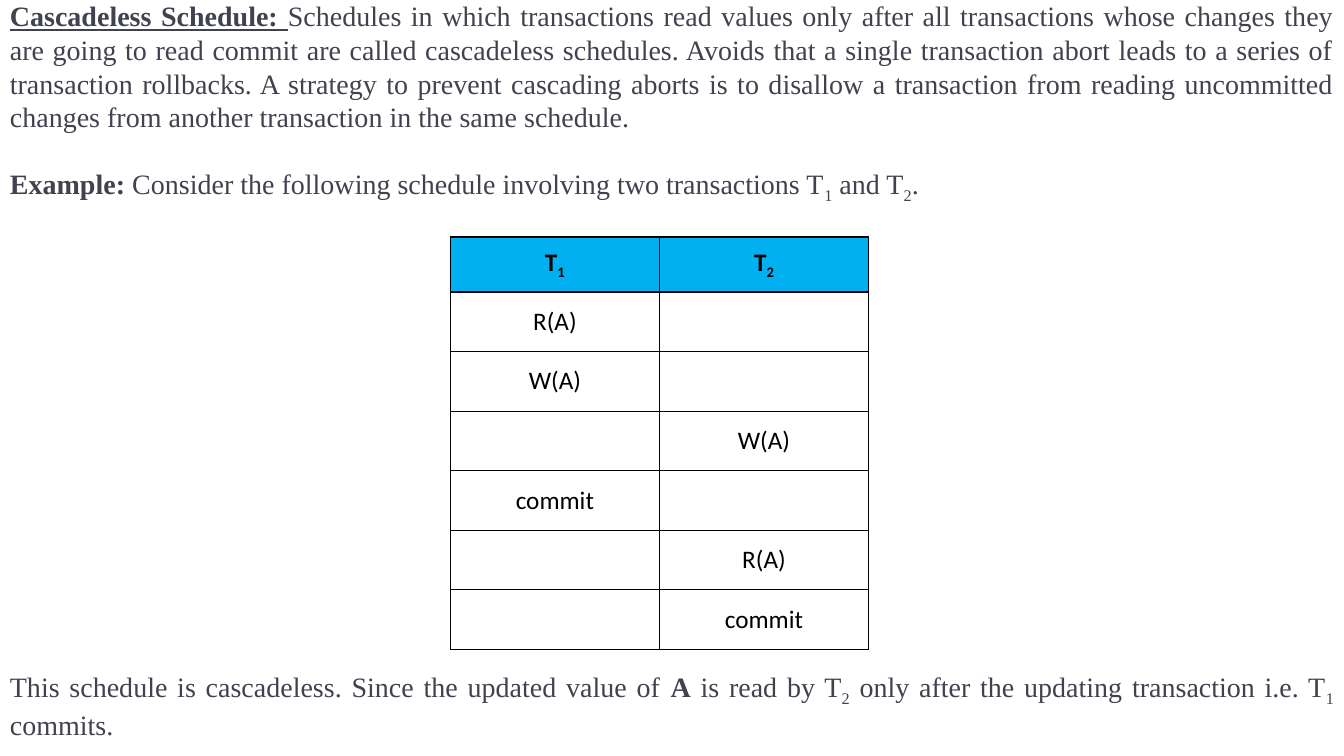
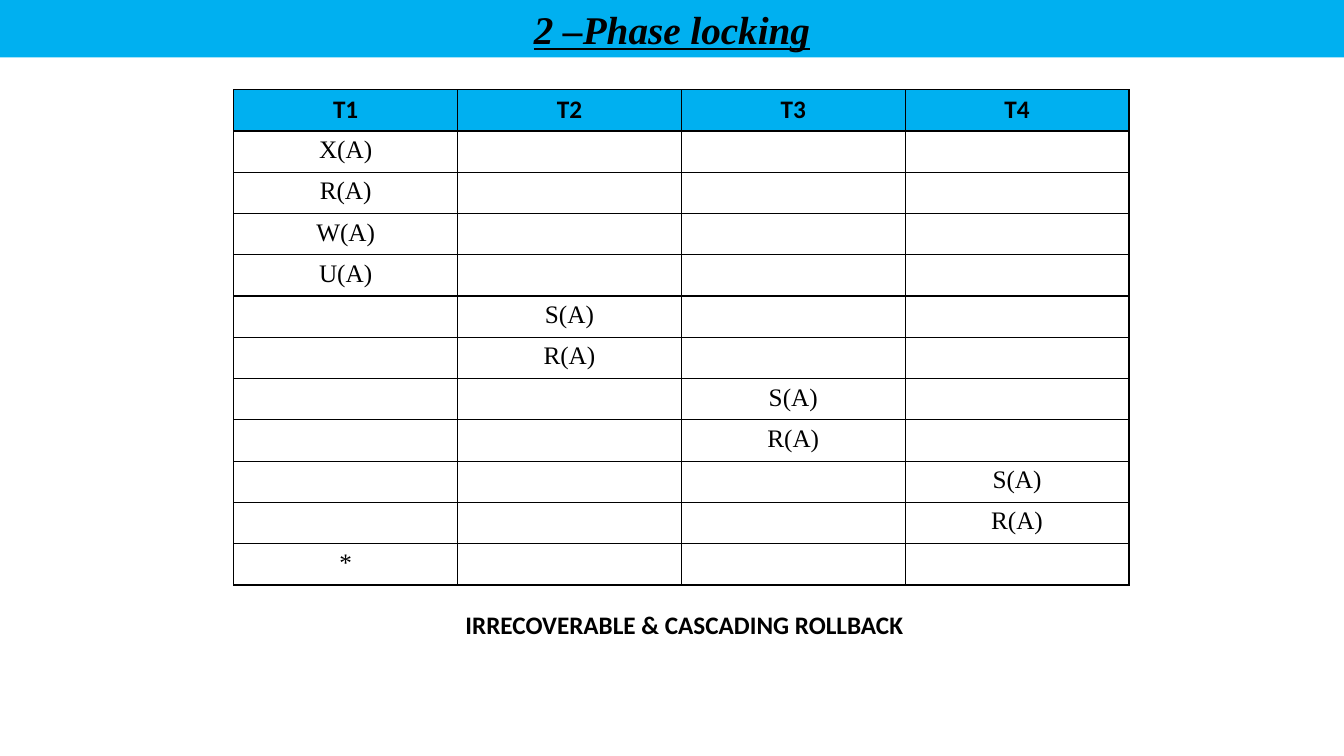
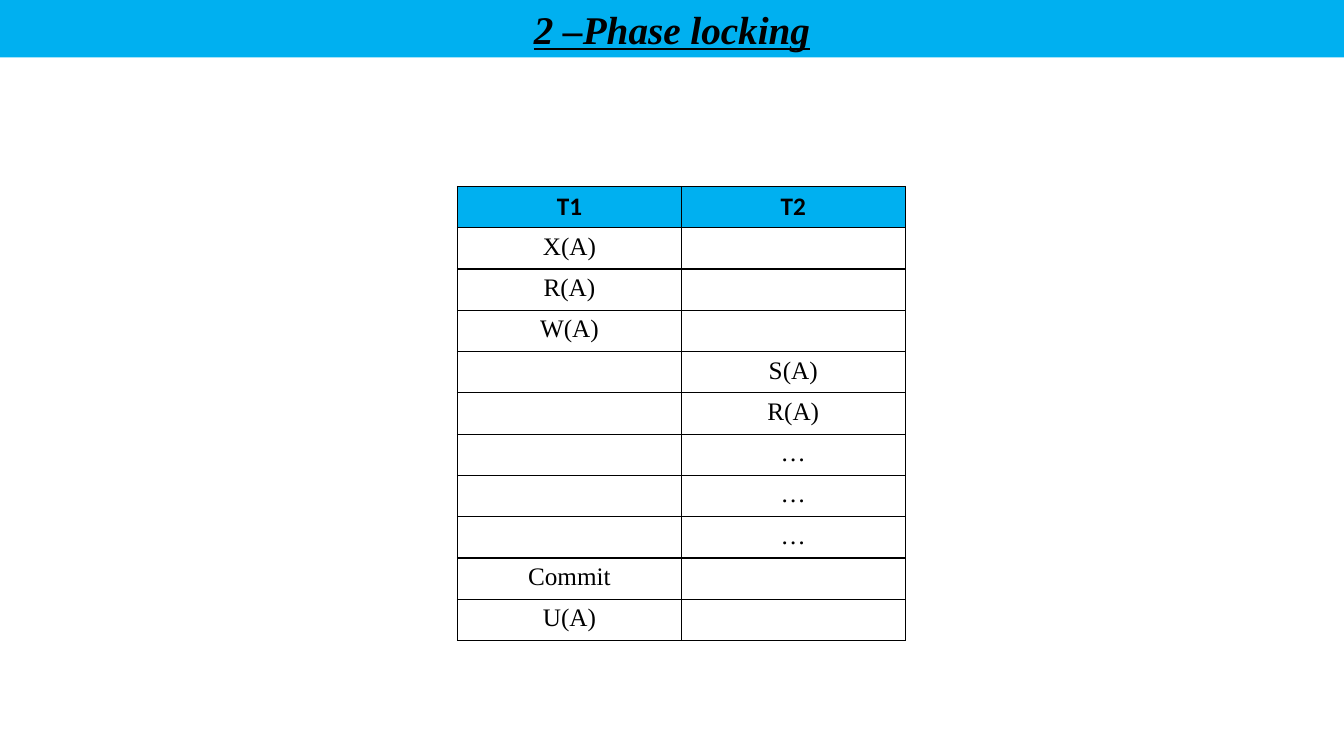
from dataclasses import dataclass

from lxml import etree
from pptx import Presentation
from pptx.dml.color import RGBColor
from pptx.enum.shapes import MSO_SHAPE
from pptx.enum.text import MSO_ANCHOR, PP_ALIGN
from pptx.oxml.ns import qn
from pptx.util import Cm, Pt

RECTANGLE = MSO_SHAPE.RECTANGLE
MIDDLE = MSO_ANCHOR.MIDDLE
TOP = MSO_ANCHOR.TOP
LEFT, CENTER, JUSTIFY = PP_ALIGN.LEFT, PP_ALIGN.CENTER, PP_ALIGN.JUSTIFY
BOLD, UNDERLINE, SUBSCRIPT = "bold", "underline", "subscript"


@dataclass(frozen=True)
class Theme:
    accent: RGBColor = RGBColor(0x00, 0xB0, 0xF0)
    black: RGBColor = RGBColor(0x00, 0x00, 0x00)
    body_color: RGBColor = RGBColor(0x40, 0x42, 0x4E)
    serif: str = "Times New Roman"
    sans: str = "Calibri"
    title_size: Pt = Pt(28)
    body_size: Pt = Pt(20)
    table_size: Pt = Pt(18)
    border: Pt = Pt(1)
    page_width: Cm = Cm(33.87)
    page_height: Cm = Cm(19.05)


THEME = Theme()


def add_page(deck):
    return deck.slides.add_slide(deck.slide_layouts[6])


def write(para, spans, name, size, color, align=LEFT, bold=False):
    """Fill a paragraph with spans: plain strings or (text, style, ...) tuples."""
    para.alignment = align
    font = para.font
    font.name, font.size, font.bold = name, size, bold
    font.color.rgb = color
    for span in spans:
        text, *styles = (span,) if isinstance(span, str) else span
        run = para.add_run()
        run.text = text
        if BOLD in styles:
            run.font.bold = True
        if UNDERLINE in styles:
            run.font.underline = True
        if SUBSCRIPT in styles:
            run._r.get_or_add_rPr().set("baseline", "-25000")


def add_text(page, left, top, width, height):
    """Add a wrapping text box and return its first paragraph."""
    frame = page.shapes.add_textbox(left, top, width, height).text_frame
    frame.word_wrap = True
    return frame.paragraphs[0]


def add_body(page, top, height, spans, align=JUSTIFY):
    para = add_text(page, 0, top, THEME.page_width, height)
    write(para, spans, THEME.serif, THEME.body_size, THEME.body_color, align)


def add_title_band(page, title):
    band = page.shapes.add_shape(RECTANGLE, 0, 0, THEME.page_width, Cm(1.45))
    band.shadow.inherit = False
    band.fill.solid()
    band.fill.fore_color.rgb = THEME.accent
    band.line.fill.background()
    band.text_frame.vertical_anchor = MIDDLE
    para = band.text_frame.paragraphs[0]
    write(para, [title], THEME.serif, THEME.title_size, THEME.black, CENTER, True)
    para.font.italic = True
    para.font.underline = True


def add_borders(cell):
    properties = cell._tc.get_or_add_tcPr()
    for side in ("lnL", "lnR", "lnT", "lnB"):
        line = etree.SubElement(properties, qn(f"a:{side}"), w=str(THEME.border))
        fill = etree.SubElement(line, qn("a:solidFill"))
        etree.SubElement(fill, qn("a:srgbClr"), val=str(THEME.black))


def add_schedule(page, left, top, column_width, row_height, headers, steps,
                 name=THEME.serif, anchor=TOP, header_height=None):
    """Draw a schedule: each step (transaction number, operation) takes one row."""
    rows, columns = len(steps) + 1, len(headers)
    table = page.shapes.add_table(rows, columns, left, top, column_width * columns,
                                  row_height * rows).table
    for column in table.columns:
        column.width = column_width
    for row in table.rows:
        row.height = row_height
    table.rows[0].height = header_height or row_height

    for row in range(rows):
        for column in range(columns):
            cell = table.cell(row, column)
            cell.vertical_anchor = anchor
            add_borders(cell)
            para = cell.text_frame.paragraphs[0]
            if row == 0:
                cell.fill.solid()
                cell.fill.fore_color.rgb = THEME.accent
                write(para, headers[column], THEME.sans, THEME.table_size,
                      THEME.black, CENTER, True)
            else:
                cell.fill.background()
                transaction, operation = steps[row - 1]
                spans = [operation] if transaction == column + 1 else []
                write(para, spans, name, THEME.table_size, THEME.black, CENTER)


def build_cascadeless(deck):
    page = add_page(deck)
    add_body(page, Cm(-0.15), Cm(3.68), [
        ("Cascadeless Schedule:", BOLD, UNDERLINE),
        (" ", UNDERLINE),
        "Schedules in which transactions read values only after all transactions "
        "whose changes they are going to read commit are called cascadeless "
        "schedules. Avoids that a single transaction abort leads to a series of "
        "transaction rollbacks. A strategy to prevent cascading aborts is to "
        "disallow a transaction from reading uncommitted changes from another "
        "transaction in the same schedule.",
    ])
    add_body(page, Cm(4.06), Cm(1.12), [
        ("Example:", BOLD),
        " Consider the following schedule involving two transactions T",
        ("1", SUBSCRIPT), " and T", ("2", SUBSCRIPT), ".",
    ], LEFT)
    add_schedule(
        page, Cm(11.35), Cm(5.97), Cm(5.27), Cm(1.5),
        [["T", (number, SUBSCRIPT)] for number in "12"],
        [(1, "R(A)"), (1, "W(A)"), (2, "W(A)"), (1, "commit"), (2, "R(A)"),
         (2, "commit")],
        THEME.sans, MIDDLE, Cm(1.39))
    add_body(page, Cm(16.74), Cm(1.96), [
        "This schedule is cascadeless. Since the updated value of ",
        ("A", BOLD), " is read by T", ("2", SUBSCRIPT),
        " only after the updating transaction i.e. T", ("1", SUBSCRIPT), " commits.",
    ])


def build_locking(deck, left, top, transactions, steps):
    page = add_page(deck)
    add_title_band(page, "2 –Phase locking")
    headers = [[f"T{number}"] for number in range(1, transactions + 1)]
    add_schedule(page, left, top, Cm(5.64), Cm(1.04), headers, steps)
    return page


def main():
    deck = Presentation()
    deck.slide_width, deck.slide_height = THEME.page_width, THEME.page_height

    build_cascadeless(deck)

    page = build_locking(deck, Cm(5.89), Cm(2.26), 4, [
        (1, "X(A)"), (1, "R(A)"), (1, "W(A)"), (1, "U(A)"),
        (2, "S(A)"), (2, "R(A)"), (3, "S(A)"), (3, "R(A)"),
        (4, "S(A)"), (4, "R(A)"), (1, "*"),
    ])
    verdict = add_text(page, Cm(11.48), Cm(15.24), Cm(12.5), Cm(1.02))
    write(verdict, ["IRRECOVERABLE & CASCADING ROLLBACK"], THEME.sans,
          THEME.table_size, THEME.black, bold=True)

    build_locking(deck, Cm(11.53), Cm(4.7), 2, [
        (1, "X(A)"), (1, "R(A)"), (1, "W(A)"), (2, "S(A)"), (2, "R(A)"),
        (2, "…"), (2, "…"), (2, "…"), (1, "Commit"), (1, "U(A)"),
    ])

    deck.save("out.pptx")


if __name__ == "__main__":
    main()
